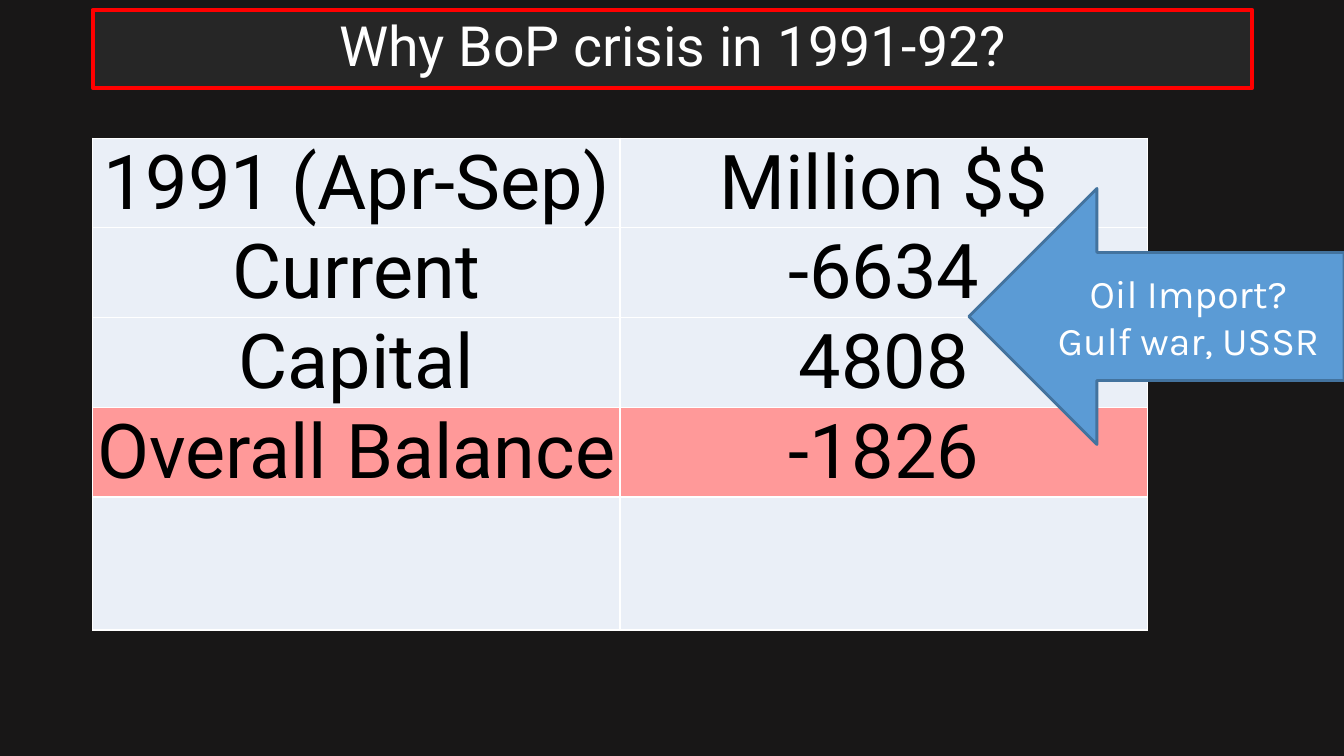
from dataclasses import dataclass

from lxml import etree
from pptx import Presentation
from pptx import util as u
from pptx.dml.color import RGBColor
from pptx.enum import shapes, text
from pptx.oxml import ns

WIDE, HIGH = u.Inches(13.33), u.Inches(7.5)
WHITE, BLACK, PALE, ROSE = "FFFFFF", "000000", "EAEFF7", "FF9999"
LEFT = 6.9


@dataclass
class Box:
    """A filled shape; lengths are percent of the slide's width and height."""
    kind: shapes.MSO_SHAPE
    place: tuple[float, float, float, float]
    fill: str
    edge: str
    weight: float
    lines: list[str]
    font: dict
    lead: float = 1.0
    adjust: float | None = None


@dataclass
class Row:
    cells: tuple[str, str]
    fill: str = PALE
    high: float = 11.87


TITLE = Box(shapes.MSO_SHAPE.ROUNDED_RECTANGLE, (LEFT, 1.33, 86.27, 10.27),
            "262626", "FF0000", 3, ["Why BoP crisis in 1991-92?"],
            {"name": "Roboto", "size": u.Pt(39.6)}, 0.9, 0)
ARROW = Box(shapes.MSO_SHAPE.LEFT_ARROW, (72.09, 24.93, 27.91, 33.87),
            "5B9BD5", "43739E", 2, ["Oil Import?", "Gulf war, USSR"],
            {"name": "Karla", "size": u.Pt(28)})
ROWS = [
    Row(("1991 (Apr-Sep)", "Million $$")),
    Row(("Current", "-6634")),
    Row(("Capital", "4808")),
    Row(("Overall Balance", "-1826"), ROSE),
    Row(("", ""), high=17.6),
]


def tint(code: str) -> RGBColor:
    return RGBColor.from_string(code)


def across(share: float) -> int:
    return round(WIDE * share / 100)


def down(share: float) -> int:
    return round(HIGH * share / 100)


def paint(fill, code: str) -> None:
    fill.solid()
    fill.fore_color.rgb = tint(code)


def write(frame, lines: list[str], font: dict, code: str,
          lead: float = 1.0) -> None:
    frame.text = "\n".join(lines)
    for para in frame.paragraphs:
        para.alignment = text.PP_ALIGN.CENTER
        para.line_spacing = lead
        for run in para.runs:
            for key, value in font.items():
                setattr(run.font, key, value)
            run.font.color.rgb = tint(code)


def draw(slide, box: Box) -> None:
    x, y, w, h = box.place
    shape = slide.shapes.add_shape(box.kind, across(x), down(y),
                                   across(w), down(h))
    shape.shadow.inherit = False
    if box.adjust is not None:
        shape.adjustments[0] = box.adjust
    paint(shape.fill, box.fill)
    paint(shape.line.fill, box.edge)
    shape.line.width = u.Pt(box.weight)
    frame = shape.text_frame
    frame.word_wrap = True
    frame.vertical_anchor = text.MSO_ANCHOR.MIDDLE
    write(frame, box.lines, box.font, WHITE, box.lead)


def rule(cell) -> None:
    """Give the cell a thin white border on each side."""
    props = cell._tc.get_or_add_tcPr()
    for at, side in enumerate(("lnL", "lnR", "lnT", "lnB")):
        line = etree.Element(ns.qn(f"a:{side}"), w=str(u.Pt(1)))
        fill = etree.SubElement(line, ns.qn("a:solidFill"))
        etree.SubElement(fill, ns.qn("a:srgbClr"), val=WHITE)
        props.insert(at, line)


def tabulate(slide, rows: list[Row]) -> None:
    table = slide.shapes.add_table(
        len(rows), 2, across(LEFT), down(18.27), across(78.47),
        down(sum(row.high for row in rows))).table
    table.first_row = table.horz_banding = False
    form = {"margin_left": u.Inches(0.01), "margin_right": u.Inches(0.01),
            "margin_top": u.Inches(0.01), "margin_bottom": 0,
            "vertical_anchor": text.MSO_ANCHOR.MIDDLE}
    font = {"name": "Roboto", "size": u.Pt(54)}
    for r, row in enumerate(rows):
        table.rows[r].height = down(row.high)
        for c, label in enumerate(row.cells):
            cell = table.cell(r, c)
            for key, value in form.items():
                setattr(cell, key, value)
            paint(cell.fill, row.fill)
            rule(cell)
            if label:
                write(cell.text_frame, [label], font, BLACK)


def main() -> None:
    deck = Presentation()
    deck.slide_width, deck.slide_height = WIDE, HIGH
    slide = deck.slides.add_slide(deck.slide_layouts[6])
    paint(slide.background.fill, "181717")
    draw(slide, TITLE)
    tabulate(slide, ROWS)
    draw(slide, ARROW)
    deck.save("out.pptx")


if __name__ == "__main__":
    main()
